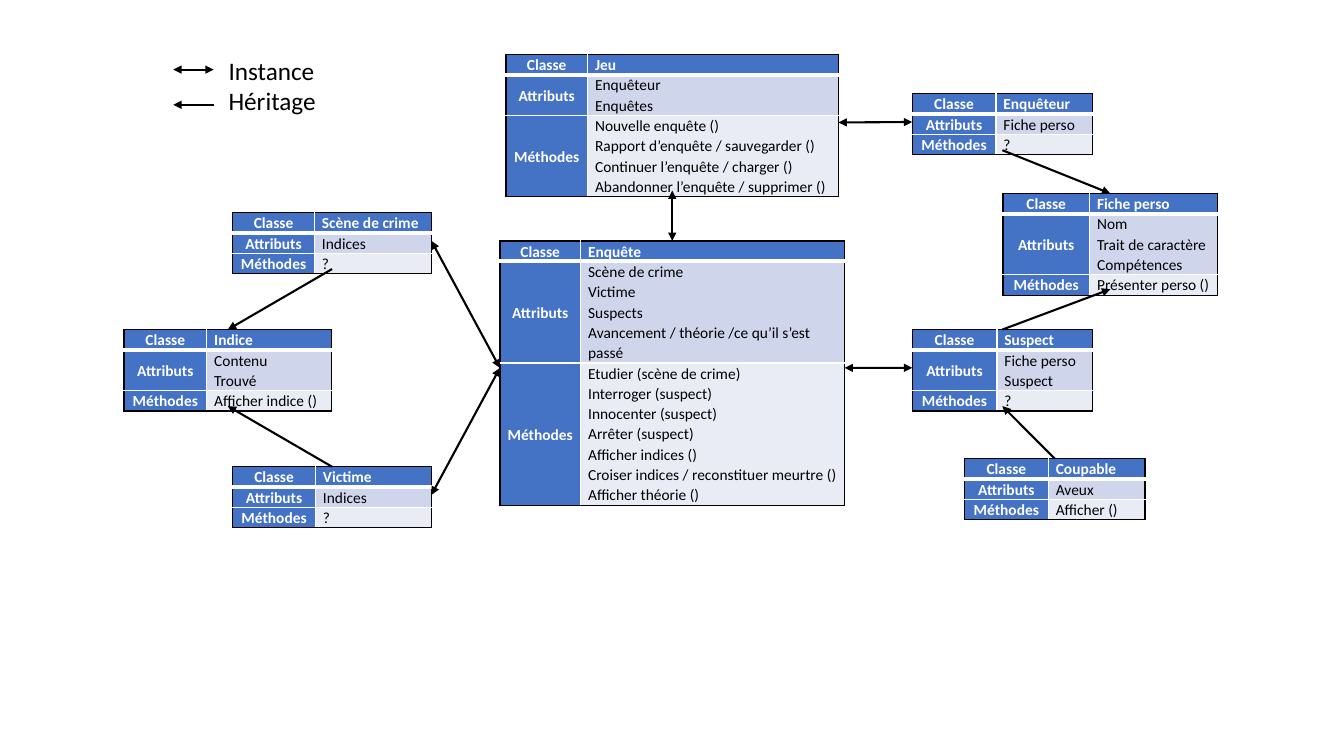
from dataclasses import dataclass

from lxml.etree import SubElement
from pptx import Presentation
from pptx.dml.color import RGBColor
from pptx.enum.shapes import MSO_CONNECTOR
from pptx.enum.text import MSO_ANCHOR, MSO_AUTO_SIZE, PP_ALIGN
from pptx.oxml import parse_xml
from pptx.oxml.ns import nsdecls, qn
from pptx.util import Pt

FONT = "Calibri"
BLACK, WHITE, BLUE = "000000", "FFFFFF", "4472C4"
TINTS = (BLUE, "CFD5EA", "E9EBF5")
LABELS = ("Classe", "Attributs", "Méthodes")
ROW = 13.4  # smallest height of one text line in a table


@dataclass(frozen=True)
class Box:
    """A class of the game, drawn as a table."""
    name: str
    x: float
    y: float
    w: float
    h: float
    split: float
    attrs: tuple[str, ...]
    acts: tuple[str, ...]

    def spot(self, side: str) -> tuple[float, float]:
        """Give the middle of one side."""
        fx, fy = {"top": (.5, 0), "left": (0, .5),
                  "bottom": (.5, 1), "right": (1, .5)}[side]
        return self.x + fx * self.w, self.y + fy * self.h


@dataclass(frozen=True)
class Link:
    """An arrow between sides of two boxes."""
    start: Box
    out: str
    end: Box
    into: str
    both: bool = False


def paint(value: str) -> RGBColor:
    """Turn a hex string into a colour."""
    return RGBColor.from_string(value)


def write(frame, lines: tuple[str, ...], size: float, color: str,
          bold: bool = False, align=PP_ALIGN.LEFT, pitch: float = 1.0) -> None:
    """Write one paragraph per line."""
    for i, line in enumerate(lines):
        para = frame.paragraphs[0] if i == 0 else frame.add_paragraph()
        para.alignment, para.line_spacing = align, pitch
        run = para.add_run()
        run.text = line
        font = run.font
        font.name, font.size, font.bold = FONT, Pt(size), bold
        font.color.rgb = paint(color)


def edge(cell, row: int, col: int) -> None:
    """Rule a cell: black outside, white inside, thick under the header."""
    rules = (("L", col == 0, 1), ("R", col == 1, 1),
             ("T", row == 0, 3 if row == 1 else 1),
             ("B", row == 2, 3 if row == 0 else 1))
    props = cell._tc.get_or_add_tcPr()
    for i, (side, outer, width) in enumerate(rules):
        color = BLACK if outer else WHITE
        props.insert(i, parse_xml(
            f'<a:ln{side} {nsdecls("a")} w="{Pt(width)}"><a:solidFill>'
            f'<a:srgbClr val="{color}"/></a:solidFill></a:ln{side}>'))


def draw_box(slide, box: Box) -> None:
    """Draw a class as a table of three rows."""
    shape = slide.shapes.add_table(3, 2, Pt(box.x), Pt(box.y), Pt(box.w), Pt(box.h))
    table = shape.table
    table.columns[0].width = Pt(box.split)
    table.columns[1].width = Pt(box.w - box.split)
    texts = ((box.name,), box.attrs, box.acts)
    for row, (label, lines) in enumerate(zip(LABELS, texts)):
        table.rows[row].height = Pt(ROW * len(lines))
        for col, words in enumerate(((label,), lines)):
            cell = table.cell(row, col)
            head = row == 0 or col == 0
            cell.margin_left = cell.margin_right = Pt(5.4)
            cell.margin_top = cell.margin_bottom = 0
            cell.vertical_anchor = MSO_ANCHOR.TOP if col else MSO_ANCHOR.MIDDLE
            cell.fill.solid()
            cell.fill.fore_color.rgb = paint(TINTS[row] if col else BLUE)
            edge(cell, row, col)
            write(cell.text_frame, words, 11, WHITE if head else BLACK, head,
                  PP_ALIGN.LEFT if col else PP_ALIGN.CENTER, 1.07)
    shape.height = Pt(box.h)


def arrow(slide, start: tuple[float, float], end: tuple[float, float],
          both: bool) -> None:
    """Draw an arrow with one or two heads."""
    line = slide.shapes.add_connector(
        MSO_CONNECTOR.STRAIGHT, *(Pt(v) for v in start + end))
    line.line.width = Pt(1.5)
    line.line.color.rgb = paint(BLACK)
    props = line._element.spPr
    SubElement(props, qn("a:effectLst"))
    for tag in ("a:headEnd", "a:tailEnd") if both else ("a:tailEnd",):
        SubElement(props.find(qn("a:ln")), qn(tag), type="triangle")


def legend(slide) -> None:
    """Draw the key of both arrow kinds."""
    arrow(slide, (123.8, 49.7), (152.6, 49.7), True)
    arrow(slide, (152.6, 74.9), (123.8, 74.9), False)
    note = slide.shapes.add_textbox(Pt(156.2), Pt(36), Pt(108), Pt(51.1))
    frame = note.text_frame
    frame.word_wrap = True
    frame.auto_size = MSO_AUTO_SIZE.SHAPE_TO_FIT_TEXT
    write(frame, ("Instance", "Héritage"), 18, BLACK)


game = Box("Jeu", 361.4, 38.9, 237.6, 97.2, 58.3, ("Enquêteur", "Enquêtes"),
           ("Nouvelle enquête ()", "Rapport d’enquête / sauvegarder ()",
            "Continuer l’enquête / charger ()",
            "Abandonner l’enquête / supprimer ()"))
sleuth = Box("Enquêteur", 651.6, 67, 128.9, 40.3, 59.8, ("Fiche perso",), ("?",))
case = Box("Enquête", 357.1, 172.1, 246.2, 181.4, 57.6,
           ("Scène de crime", "Victime", "Suspects",
            "Avancement / théorie /ce qu’il s’est passé"),
           ("Etudier (scène de crime)", "Interroger (suspect)",
            "Innocenter (suspect)", "Arrêter (suspect)", "Afficher indices ()",
            "Croiser indices / reconstituer meurtre ()", "Afficher théorie ()"))
scene = Box("Scène de crime", 166.3, 151.9, 141.8, 40.3, 58.3, ("Indices",), ("?",))
victim = Box("Victime", 166.3, 333.4, 141.8, 40.3, 59, ("Indices",), ("?",))
suspect = Box("Suspect", 651.6, 235.4, 128.9, 54.7, 60.5,
              ("Fiche perso", "Suspect"), ("?",))
culprit = Box("Coupable", 689, 327.6, 128.9, 40.3, 59.8, ("Aveux",), ("Afficher ()",))
sheet = Box("Fiche perso", 716.4, 138.2, 153.4, 68.4, 61.9,
            ("Nom", "Trait de caractère", "Compétences"), ("Présenter perso ()",))
clue = Box("Indice", 88.6, 235.4, 148.3, 54.7, 59, ("Contenu", "Trouvé"),
           ("Afficher indice ()",))

BOXES = (game, sleuth, case, scene, victim, suspect, culprit, sheet, clue)
LINKS = (
    Link(scene, "bottom", clue, "top"),
    Link(victim, "top", clue, "bottom"),
    Link(culprit, "top", suspect, "bottom"),
    Link(sleuth, "bottom", sheet, "top"),
    Link(suspect, "top", sheet, "bottom"),
    Link(case, "top", game, "bottom", True),
    Link(sleuth, "left", game, "right", True),
    Link(case, "right", suspect, "left", True),
    Link(case, "left", scene, "right", True),
    Link(victim, "right", case, "left", True),
)

deck = Presentation()
deck.slide_width, deck.slide_height = Pt(960), Pt(540)
page = deck.slides.add_slide(deck.slide_layouts[6])
for box in BOXES:
    draw_box(page, box)
for link in LINKS:
    arrow(page, link.start.spot(link.out), link.end.spot(link.into), link.both)
legend(page)
deck.save("out.pptx")
